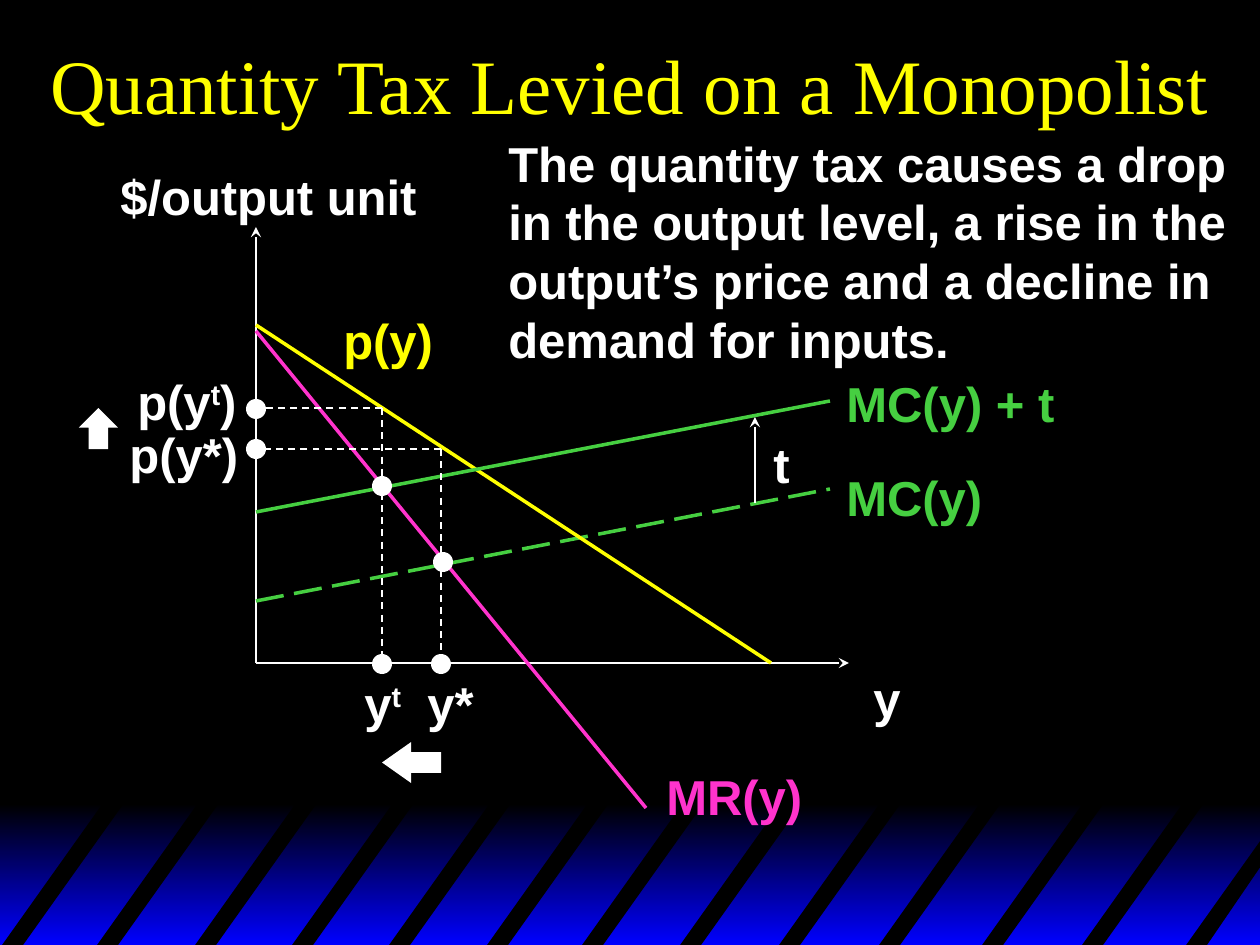
from lxml import etree
from pptx import Presentation
from pptx.dml.color import RGBColor
from pptx.enum.dml import MSO_LINE
from pptx.enum.shapes import MSO_CONNECTOR, MSO_SHAPE
from pptx.enum.text import MSO_ANCHOR, MSO_AUTO_SIZE, PP_ALIGN
from pptx.oxml.ns import qn
from pptx.util import Emu, Pt

STRAIGHT = MSO_CONNECTOR.STRAIGHT
DASH, LONG_DASH = MSO_LINE.DASH, MSO_LINE.LONG_DASH
RECT, OVAL = MSO_SHAPE.RECTANGLE, MSO_SHAPE.OVAL
LEFT_ARROW, UP_ARROW = MSO_SHAPE.LEFT_ARROW, MSO_SHAPE.UP_ARROW

PX = 914400 / 126
BLACK, BLUE, WHITE = "000000", "0000FF", "FFFFFF"
YELLOW, GREEN, PINK = "FFFF00", "46CF41", "FF33CC"

TITLE = "Quantity Tax Levied on a Monopolist"
NOTE = [
    ["The quantity tax causes a drop",
     "in the output level, a rise in the",
     "output’s price and a decline in"],
    ["demand for inputs."],
]

# Points of the diagram
AXIS_X, AXIS_Y = 256, 663
Y_TAX, Y_STAR = 382, 441
P_TAX, P_STAR = 408, 449
MC_TAX, MC_STAR = 486, 562

# start, end, colour, width in points, dash, arrowhead at the end
LINES = [
    ((AXIS_X, AXIS_Y), (AXIS_X, 227), WHITE, 1, None, True),
    ((AXIS_X, AXIS_Y), (849, AXIS_Y), WHITE, 1, None, True),
    ((AXIS_X, 601), (830, 489), GREEN, 2, LONG_DASH, False),
    ((AXIS_X, 325), (771, AXIS_Y), YELLOW, 2, None, False),
    ((AXIS_X, 331), (646, 808), PINK, 2, None, False),
    ((AXIS_X, 512), (830, 401), GREEN, 2, None, False),
    ((755, 503), (755, 417), WHITE, 1, None, True),
    ((Y_STAR, P_STAR), (Y_STAR, AXIS_Y), WHITE, 1, DASH, False),
    ((Y_STAR, P_STAR), (AXIS_X, P_STAR), WHITE, 1, DASH, False),
    ((Y_TAX, P_TAX), (Y_TAX, AXIS_Y), WHITE, 1, DASH, False),
    ((Y_TAX, P_TAX), (AXIS_X, P_TAX), WHITE, 1, DASH, False),
]
DOT_SIZE = 20
DOTS = [(Y_STAR + 2, MC_STAR), (AXIS_X, P_STAR), (Y_STAR, AXIS_Y + 1),
        (Y_TAX, MC_TAX), (Y_TAX, AXIS_Y + 1), (AXIS_X, P_TAX + 1)]

# text before, superscript and text after; left, top, width; colour
LABEL_HEIGHT = 72
LABELS = [
    (("$/output unit",), 108, 160, 323, WHITE),
    (("y",), 861, 662, 53, WHITE),
    (("MC(y)",), 834, 461, 161, GREEN),
    (("p(y)",), 331, 304, 115, YELLOW),
    (("MR(y)",), 654, 760, 161, PINK),
    (("MC(y) + t",), 834, 367, 233, GREEN),
    (("t",), 761, 428, 42, WHITE),
    (("y*",), 415, 667, 72, WHITE),
    (("p(y*)",), 117, 418, 135, WHITE),
    (("y", "t"), 352, 667, 64, WHITE),
    (("p(y", "t", ")"), 125, 365, 126, WHITE),
]
SHIFT_ARROWS = [
    (LEFT_ARROW, (Y_TAX, 742, 59, 41), 0.71),
    (UP_ARROW, (79, 408, 39, 41), 0.5),
]

STRIPE_LEFTS = [0, 95, 193, 290, 387, 485, 580, 678, 777, 877, 980, 1080]
STRIPE_TOP, STRIPE_BOTTOM, STRIPE_WIDTH, STRIPE_SLANT = 799, 948, 21, 106
CUT_STRIPE = [(1184, 948), (1263, 837), (1263, 863), (1205, 948)]


def px(*lengths):
    return [Emu(round(length * PX)) for length in lengths]


def color(value):
    return RGBColor.from_string(value)


def paint(shape, fill):
    shape.shadow.inherit = False
    shape.fill.solid()
    shape.fill.fore_color.rgb = color(fill)
    shape.line.fill.background()


def add_solid(shapes, kind, box, fill):
    shape = shapes.add_shape(kind, *px(*box))
    paint(shape, fill)
    return shape


def add_stripe(shapes, points):
    builder = shapes.build_freeform(*points[0], scale=PX)
    builder.add_line_segments(points[1:], close=True)
    paint(builder.convert_to_shape(), BLACK)


def add_backdrop(shapes):
    band = add_solid(shapes, RECT, (0, 804, 1263, 141), BLUE)
    band.fill.gradient()
    band.fill.gradient_angle = 270
    for stop, (position, shade) in zip(band.fill.gradient_stops, [(0, BLACK), (1, BLUE)]):
        stop.position = position
        stop.color.rgb = color(shade)
    for left in STRIPE_LEFTS:
        top_left = left + STRIPE_SLANT
        add_stripe(shapes, [(left, STRIPE_BOTTOM), (top_left, STRIPE_TOP),
                            (top_left + STRIPE_WIDTH, STRIPE_TOP),
                            (left + STRIPE_WIDTH, STRIPE_BOTTOM)])
    add_stripe(shapes, CUT_STRIPE)


def add_line(shapes, start, end, stroke, width, dash, arrow):
    line = shapes.add_connector(STRAIGHT, *px(*start, *end))
    line.line.color.rgb = color(stroke)
    line.line.width = Pt(width)
    if dash:
        line.line.dash_style = dash
    if arrow:
        etree.SubElement(line.line._get_or_add_ln(), qn("a:tailEnd"), type="stealth")
    etree.SubElement(line._element.spPr, qn("a:effectLst"))


def add_run(paragraph, text, ink, size=28, face="Arial", bold=True):
    run = paragraph.add_run()
    run.text = text
    run.font.name = face
    run.font.size = Pt(size)
    run.font.bold = bold
    run.font.color.rgb = color(ink)
    paragraph.line_spacing = Pt(size * 1.2)
    return run


def add_frame(shapes, box):
    """Text frame that keeps its lines unwrapped and fits its text."""
    frame = shapes.add_textbox(*px(*box)).text_frame
    frame.word_wrap = False
    frame.auto_size = MSO_AUTO_SIZE.SHAPE_TO_FIT_TEXT
    return frame


def add_title(shapes):
    frame = shapes.add_textbox(*px(0, 0, 1260, 168)).text_frame
    frame.word_wrap = True
    frame.vertical_anchor = MSO_ANCHOR.MIDDLE
    paragraph = frame.paragraphs[0]
    paragraph.alignment = PP_ALIGN.CENTER
    add_run(paragraph, TITLE, YELLOW, 44, "Times New Roman", False)


def add_label(shapes, parts, left, top, width, ink):
    paragraph = add_frame(shapes, (left, top, width, LABEL_HEIGHT)).paragraphs[0]
    for index, part in enumerate(parts):
        run = add_run(paragraph, part, ink)
        if index == 1:
            run.font._element.set("baseline", "30000")


def add_note(shapes):
    frame = add_frame(shapes, (496, 127, 745, 248))
    for number, lines in enumerate(NOTE):
        paragraph = frame.add_paragraph() if number else frame.paragraphs[0]
        for index, line in enumerate(lines):
            if index:
                paragraph.add_line_break()
            add_run(paragraph, line, WHITE)


def main():
    deck = Presentation()
    deck.slide_width, deck.slide_height = px(1260, 945)
    slide = deck.slides.add_slide(deck.slide_layouts[6])
    slide.background.fill.solid()
    slide.background.fill.fore_color.rgb = color(BLACK)
    shapes = slide.shapes

    add_backdrop(shapes)
    add_title(shapes)
    for line in LINES:
        add_line(shapes, *line)
    for x, y in DOTS:
        add_solid(shapes, OVAL, (x - DOT_SIZE / 2, y - DOT_SIZE / 2, DOT_SIZE, DOT_SIZE), WHITE)
    for label in LABELS:
        add_label(shapes, *label)
    for kind, box, head in SHIFT_ARROWS:
        add_solid(shapes, kind, box, WHITE).adjustments[1] = head
    add_note(shapes)
    deck.save("out.pptx")


if __name__ == "__main__":
    main()
